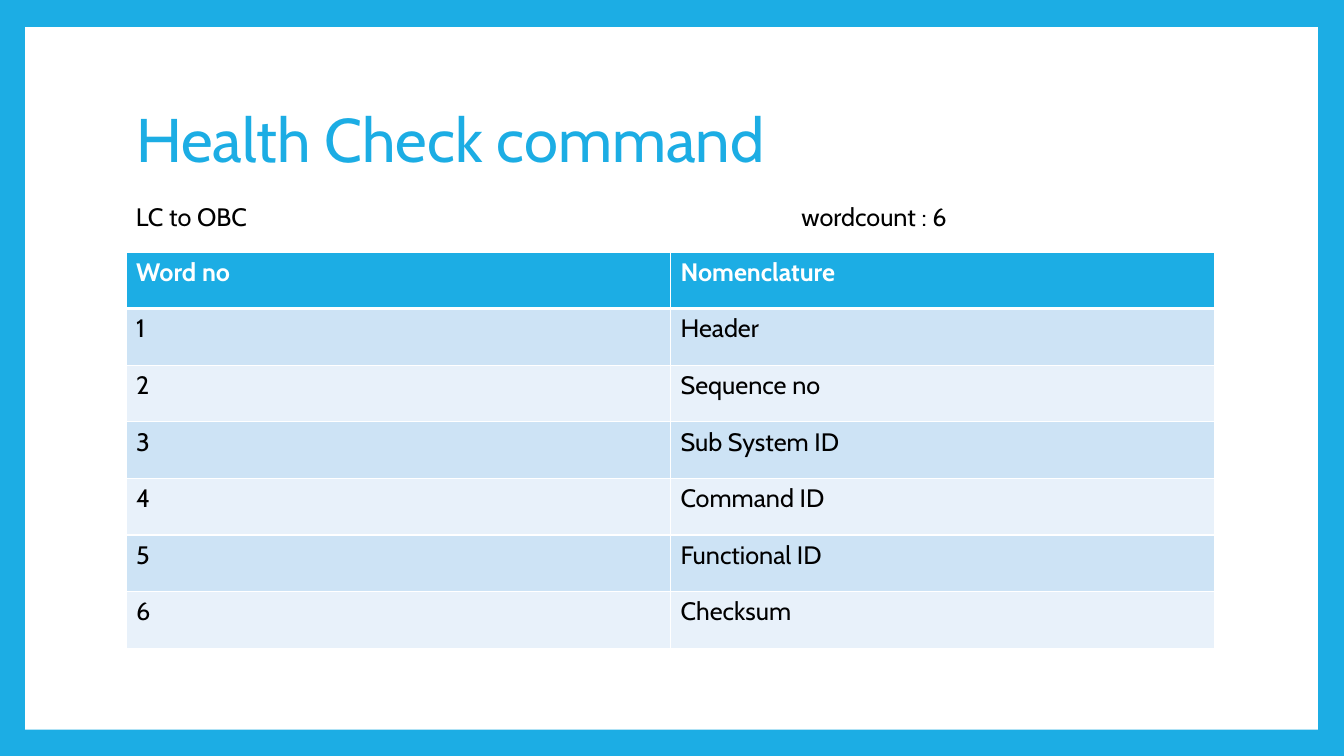
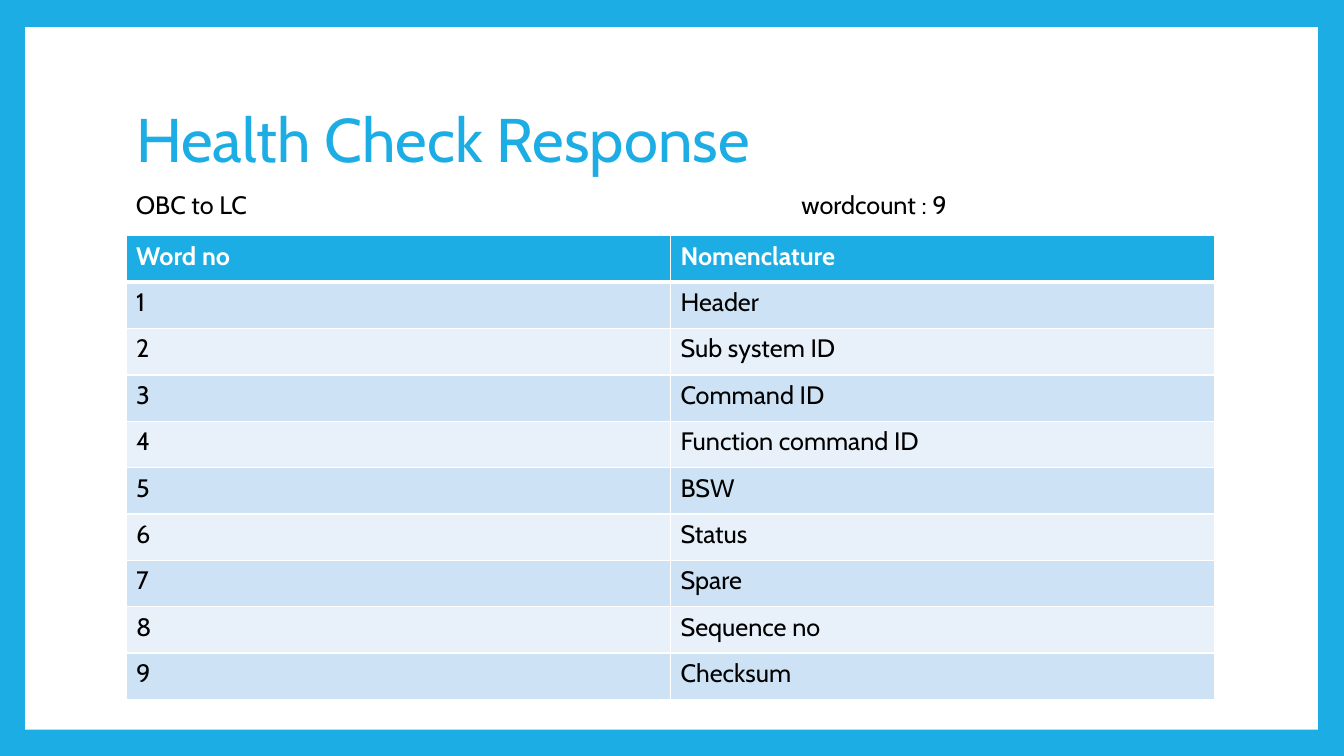
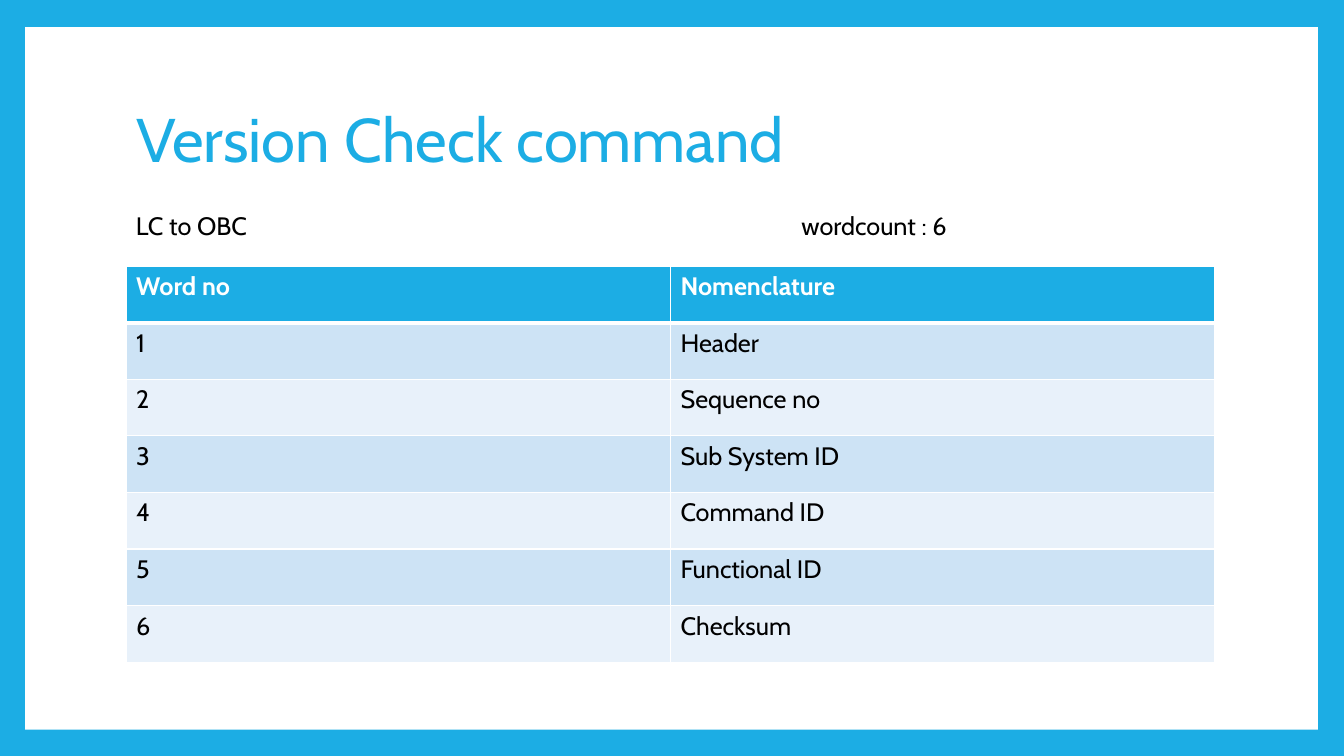
from dataclasses import dataclass

from lxml import etree
from pptx import Presentation
from pptx.dml.color import RGBColor
from pptx.enum import shapes, text
from pptx.oxml import ns
from pptx.util import Inches, Pt


@dataclass(frozen=True)
class Theme:
    font: str = "Cabin"
    blue: RGBColor = RGBColor(0x1C, 0xAD, 0xE4)
    white: RGBColor = RGBColor(0xFF, 0xFF, 0xFF)
    black: RGBColor = RGBColor(0, 0, 0)
    bands: tuple[RGBColor, RGBColor] = (
        RGBColor(0xCD, 0xE3, 0xF5), RGBColor(0xE8, 0xF1, 0xFA))
    title: float = 44
    body: float = 18
    left: float = 1.25
    width: float = 10.8


@dataclass(frozen=True)
class Message:
    title: str
    route: str
    route_top: float
    top: float
    height: float
    words: tuple[str, ...]


THEME = Theme()
HEADS = ("Word no", "Nomenclature")
CHECK = ("Header", "Sequence no", "Sub System ID", "Command ID",
         "Functional ID", "Checksum")
REPLY = ("Header", "Sub system ID", "Command ID", "Function command ID",
         "BSW", "Status", "Spare", "Sequence no", "Checksum")
MESSAGES = (
    Message("Health Check command", "LC to OBC", 1.95, 2.5, 3.93, CHECK),
    Message("Health Check Response", "OBC to LC", 1.83, 2.34, 4.6, REPLY),
    Message("Version Check command", "LC to OBC", 2.04, 2.64, 3.93, CHECK),
)


def style(para, size: float, color: RGBColor, bold: bool = False) -> None:
    for run in para.runs:
        font = run.font
        font.name, font.size, font.bold = THEME.font, Pt(size), bold
        font.color.rgb = color


def set_master(deck, slide) -> None:
    """Give the master its blue ground and white panel, drawn via a slide."""
    master = deck.slide_master
    ground = master.background.fill
    ground.solid()
    ground.fore_color.rgb = THEME.blue
    panel = slide.shapes.add_shape(
        shapes.MSO_SHAPE.RECTANGLE,
        Inches(0.25), Inches(0.27), Inches(12.82), Inches(6.97))
    panel.shadow.inherit = False
    panel.fill.solid()
    panel.fill.fore_color.rgb = THEME.white
    panel.line.fill.background()
    panel.element.nvSpPr.cNvPr.set("id", "20")
    master.shapes.element.insert(2, panel.element)


def add_title(slide, label: str) -> None:
    title = slide.shapes.title
    title.left, title.top = Inches(THEME.left), Inches(0.67)
    title.width, title.height = Inches(THEME.width), Inches(1.48)
    frame = title.text_frame
    frame.text = label
    frame.auto_size = text.MSO_AUTO_SIZE.NONE
    frame.vertical_anchor = text.MSO_ANCHOR.MIDDLE
    para = frame.paragraphs[0]
    para.alignment = text.PP_ALIGN.LEFT
    para.line_spacing = 0.9
    style(para, THEME.title, THEME.blue)


def add_route(slide, msg: Message) -> None:
    """Write the direction and, at a tab stop, the word count."""
    box = slide.shapes.add_textbox(
        Inches(THEME.left), Inches(msg.route_top), Inches(9.17), Inches(0.4))
    frame = box.text_frame
    frame.word_wrap = True
    para = frame.paragraphs[0]
    para.text = f"{msg.route}\twordcount : {len(msg.words)}"
    style(para, THEME.body, THEME.black)
    props = para._p.get_or_add_pPr()
    tabs = etree.SubElement(props, ns.qn("a:tabLst"))
    etree.SubElement(tabs, ns.qn("a:tab"), pos=str(Inches(6.6)), algn="l")


def add_edges(cell, top: float, bottom: float) -> None:
    props = cell._tc.get_or_add_tcPr()
    edges = (("L", 1), ("R", 1), ("T", top), ("B", bottom))
    for spot, (side, width) in enumerate(edges):
        line = etree.Element(ns.qn(f"a:ln{side}"), w=str(Pt(width)))
        fill = etree.SubElement(line, ns.qn("a:solidFill"))
        etree.SubElement(fill, ns.qn("a:srgbClr"), val=str(THEME.white))
        props.insert(spot, line)


def add_words(slide, msg: Message) -> None:
    rows = [HEADS] + [(str(n), word) for n, word in enumerate(msg.words, 1)]
    table = slide.shapes.add_table(
        len(rows), len(HEADS), Inches(THEME.left), Inches(msg.top),
        Inches(THEME.width), Inches(msg.height)).table
    for r, row in enumerate(rows):
        head = r == 0
        for c, label in enumerate(row):
            cell = table.cell(r, c)
            cell.fill.solid()
            cell.fill.fore_color.rgb = (
                THEME.blue if head else THEME.bands[(r - 1) % 2])
            add_edges(cell, 3 if r == 1 else 1, 3 if head else 1)
            para = cell.text_frame.paragraphs[0]
            para.text = label
            style(para, THEME.body, THEME.white if head else THEME.black, head)


def main() -> None:
    deck = Presentation()
    deck.slide_width, deck.slide_height = Inches(13.33), Inches(7.5)
    layout = deck.slide_layouts.get_by_name("Title Only")
    for msg in MESSAGES:
        slide = deck.slides.add_slide(layout)
        add_title(slide, msg.title)
        add_words(slide, msg)
        add_route(slide, msg)
    set_master(deck, deck.slides[0])
    deck.save("out.pptx")


if __name__ == "__main__":
    main()
